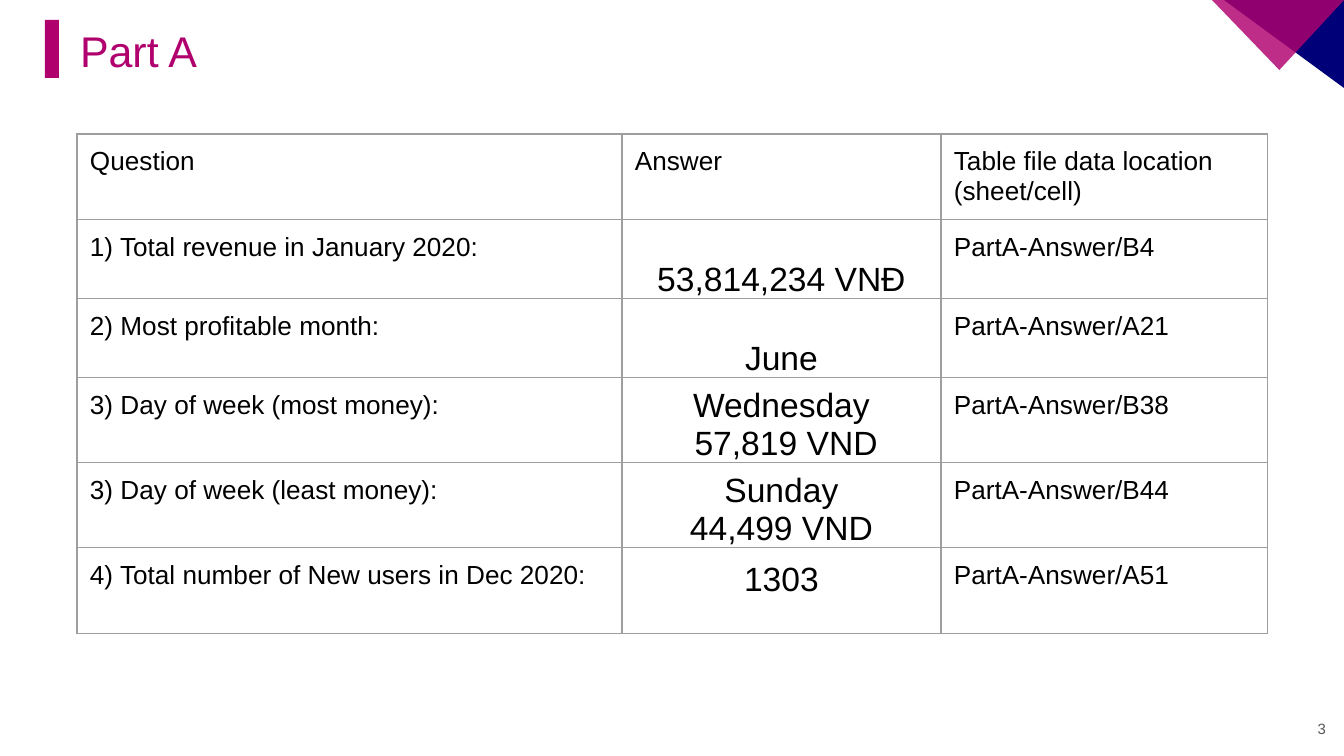
from lxml import etree
from pptx import Presentation
from pptx.dml.color import RGBColor
from pptx.enum.shapes import MSO_SHAPE
from pptx.enum.text import MSO_ANCHOR, PP_ALIGN
from pptx.oxml.ns import qn
from pptx.util import Pt

RECT, TRIANGLE, RIGHT_TRIANGLE = MSO_SHAPE.RECTANGLE, MSO_SHAPE.ISOSCELES_TRIANGLE, MSO_SHAPE.RIGHT_TRIANGLE
TOP, MIDDLE, BOTTOM = MSO_ANCHOR.TOP, MSO_ANCHOR.MIDDLE, MSO_ANCHOR.BOTTOM
LEFT, CENTER, RIGHT = PP_ALIGN.LEFT, PP_ALIGN.CENTER, PP_ALIGN.RIGHT
MAGENTA = RGBColor(0xB0, 0x00, 0x6E)
NAVY = RGBColor(0x00, 0x00, 0x78)
BLACK = RGBColor(0x00, 0x00, 0x00)
GRAY = RGBColor(0x59, 0x59, 0x59)
BORDER = RGBColor(0x9E, 0x9E, 0x9E)
FONT = "Arial"
EMU_PER_PX = 914400 / 134.4

DECOR = [
    (RECT, (45, 20, 14, 58), 0, MAGENTA, 100),
    (RIGHT_TRIANGLE, (1224, 0, 120, 88), 180, NAVY, 100),
    (TRIANGLE, (1212, 0, 132, 70), 180, MAGENTA, 82),
]
LABELS = [
    ("Part A", (67, 20, 1176, 58), LEFT, 23, MAGENTA),
    ("3", (1258, 698, 81, 58), RIGHT, 8, GRAY),
]
ROWS = [
    ("Question", "Answer", "Table file data location (sheet/cell)"),
    ("1) Total revenue in January 2020:", "53,814,234 VNĐ", "PartA-Answer/B4"),
    ("2) Most profitable month:", "June", "PartA-Answer/A21"),
    ("3) Day of week (most money):", "Wednesday\n 57,819 VND", "PartA-Answer/B38"),
    ("3) Day of week (least money):", "Sunday\n44,499 VND", "PartA-Answer/B44"),
    ("4) Total number of New users in Dec 2020:", "1303", "PartA-Answer/A51"),
]
TABLE_AT = (77, 134)
COL_WIDTHS = [545, 319, 327]
ROW_HEIGHTS = [85, 79, 79, 85, 85, 86]
PADDED = {"margin_left": 13, "margin_top": 13, "margin_right": 13, "margin_bottom": 10}
TIGHT = {"margin_left": 1, "margin_top": 1, "margin_right": 1, "margin_bottom": 0}


def px(n):
    return round(n * EMU_PER_PX)


def set_attrs(obj, values):
    for name, value in values.items():
        setattr(obj, name, value)


def set_margins(obj, margins):
    set_attrs(obj, {name: px(n) for name, n in margins.items()})


def write(tf, text, align, size, color):
    tf.text = text
    for p in tf.paragraphs:
        p.alignment = align
        for r in p.runs:
            set_attrs(r.font, {"name": FONT, "size": Pt(size)})
            r.font.color.rgb = color


def add_borders(cell):
    tcPr = cell._tc.get_or_add_tcPr()
    for i, side in enumerate(("a:lnL", "a:lnR", "a:lnT", "a:lnB")):
        ln = etree.Element(qn(side), w=str(Pt(0.75)))
        fill = etree.SubElement(ln, qn("a:solidFill"))
        etree.SubElement(fill, qn("a:srgbClr"), val=str(BORDER))
        tcPr.insert(i, ln)


def add_decor(slide, kind, box, rotation, color, opacity):
    sp = slide.shapes.add_shape(kind, *map(px, box))
    sp.rotation = rotation
    sp.shadow.inherit = False
    sp.line.fill.background()
    sp.fill.solid()
    sp.fill.fore_color.rgb = color
    if kind == TRIANGLE:
        sp.adjustments[0] = 0.49
    if opacity < 100:
        clr = sp._element.spPr.find(".//" + qn("a:srgbClr"))
        etree.SubElement(clr, qn("a:alpha"), val=str(opacity * 1000))


def add_label(slide, text, box, align, size, color):
    tf = slide.shapes.add_textbox(*map(px, box)).text_frame
    set_attrs(tf, {"word_wrap": True, "vertical_anchor": MIDDLE})
    set_margins(tf, PADDED)
    write(tf, text, align, size, color)


def add_answers(slide):
    box = (*TABLE_AT, sum(COL_WIDTHS), sum(ROW_HEIGHTS))
    table = slide.shapes.add_table(len(ROWS), len(COL_WIDTHS), *map(px, box)).table
    set_attrs(table, {"first_row": False, "horz_banding": False})
    for col, width in zip(table.columns, COL_WIDTHS):
        col.width = px(width)
    for row, height in zip(table.rows, ROW_HEIGHTS):
        row.height = px(height)
    last = len(ROWS) - 1
    for i, row in enumerate(ROWS):
        for j, text in enumerate(row):
            cell = table.cell(i, j)
            answer = j == 1 and i > 0
            tight = answer and i < last
            cell.fill.background()
            cell.vertical_anchor = BOTTOM if tight else TOP
            set_margins(cell, TIGHT if tight else PADDED)
            write(cell.text_frame, text, CENTER if answer else LEFT, 18 if answer else 14, BLACK)
            add_borders(cell)


def main():
    prs = Presentation()
    set_attrs(prs, {"slide_width": px(1344), "slide_height": px(756)})
    slide = prs.slides.add_slide(prs.slide_layouts[6])
    for item in DECOR:
        add_decor(slide, *item)
    for item in LABELS:
        add_label(slide, *item)
    add_answers(slide)
    prs.save("out.pptx")


if __name__ == "__main__":
    main()
